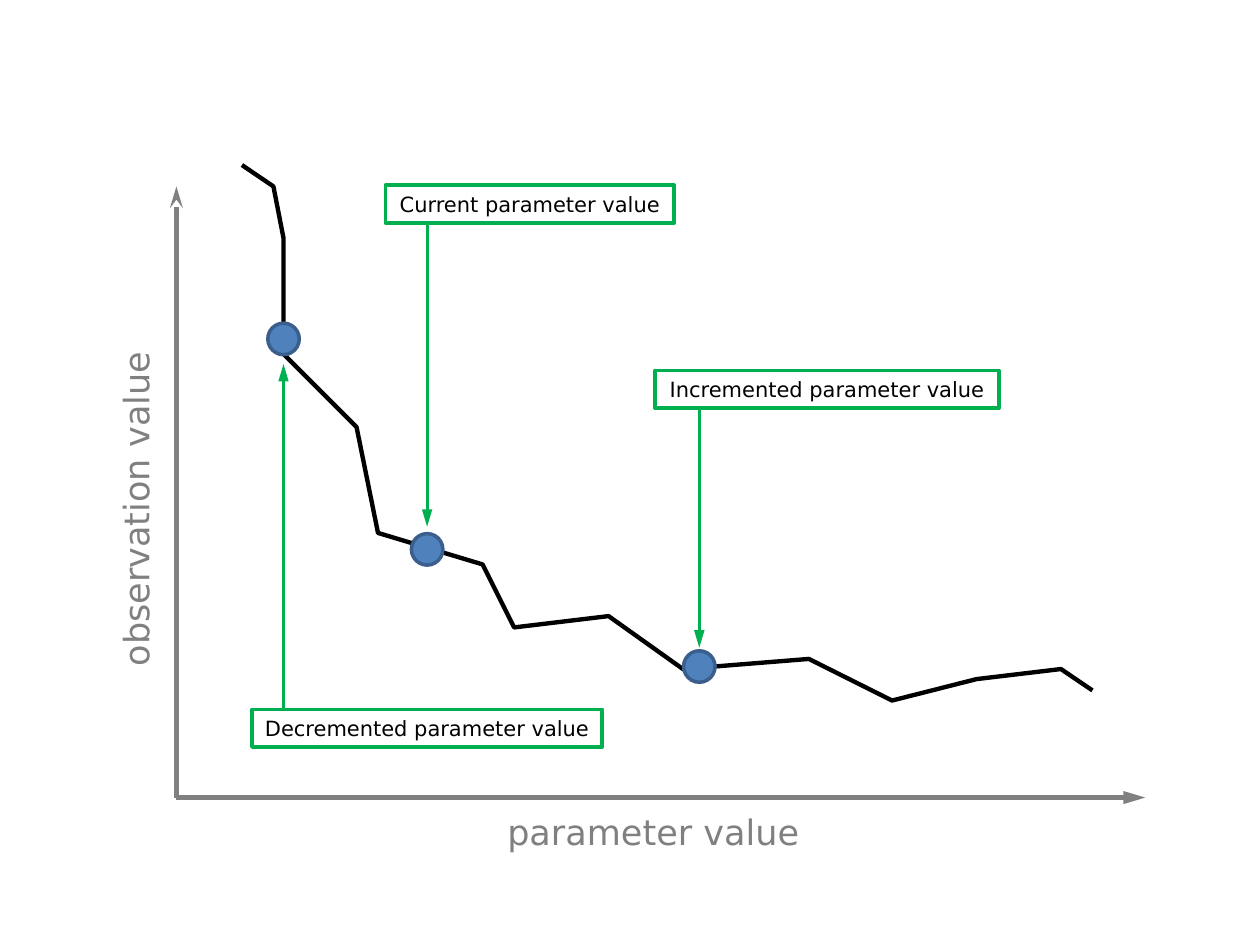
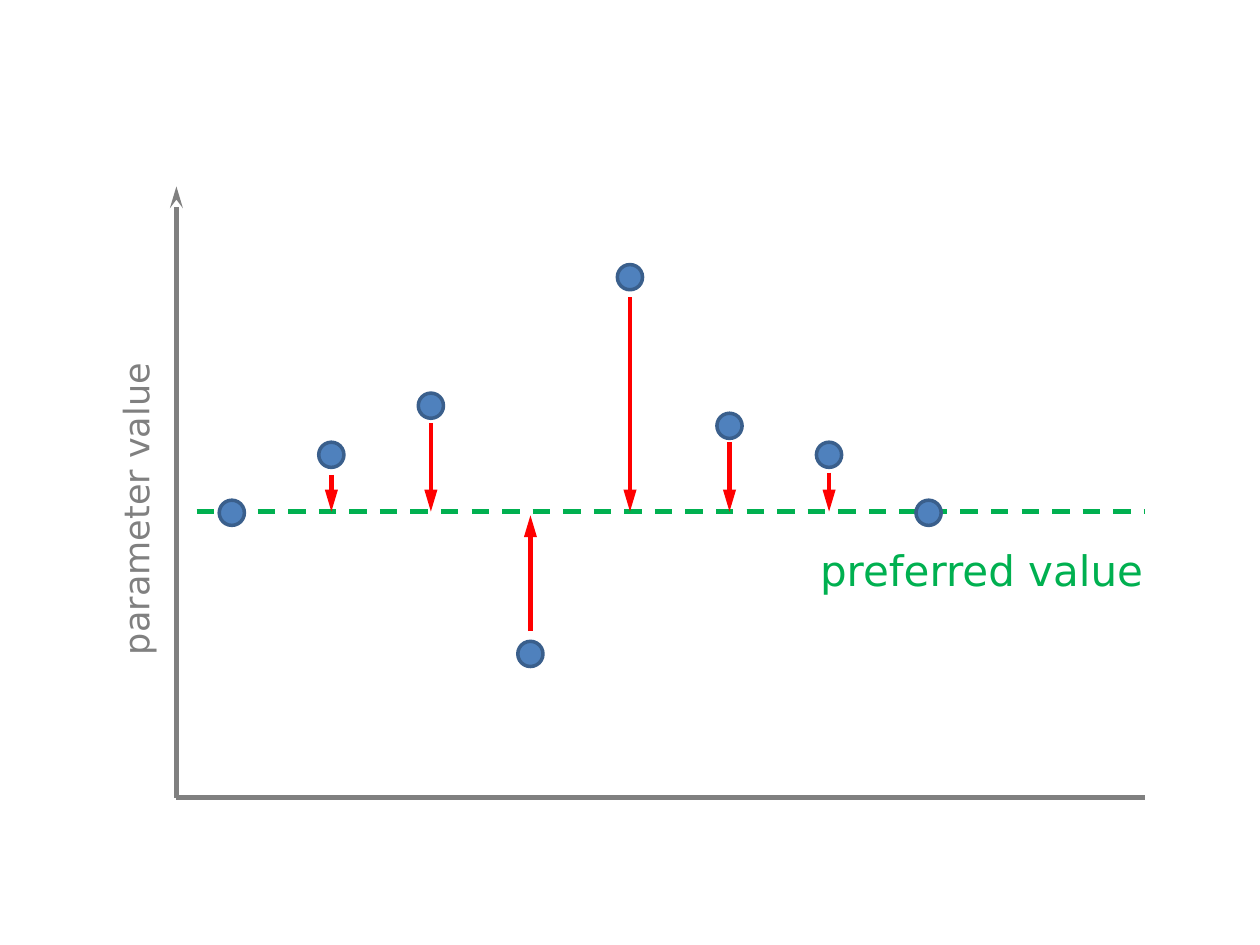
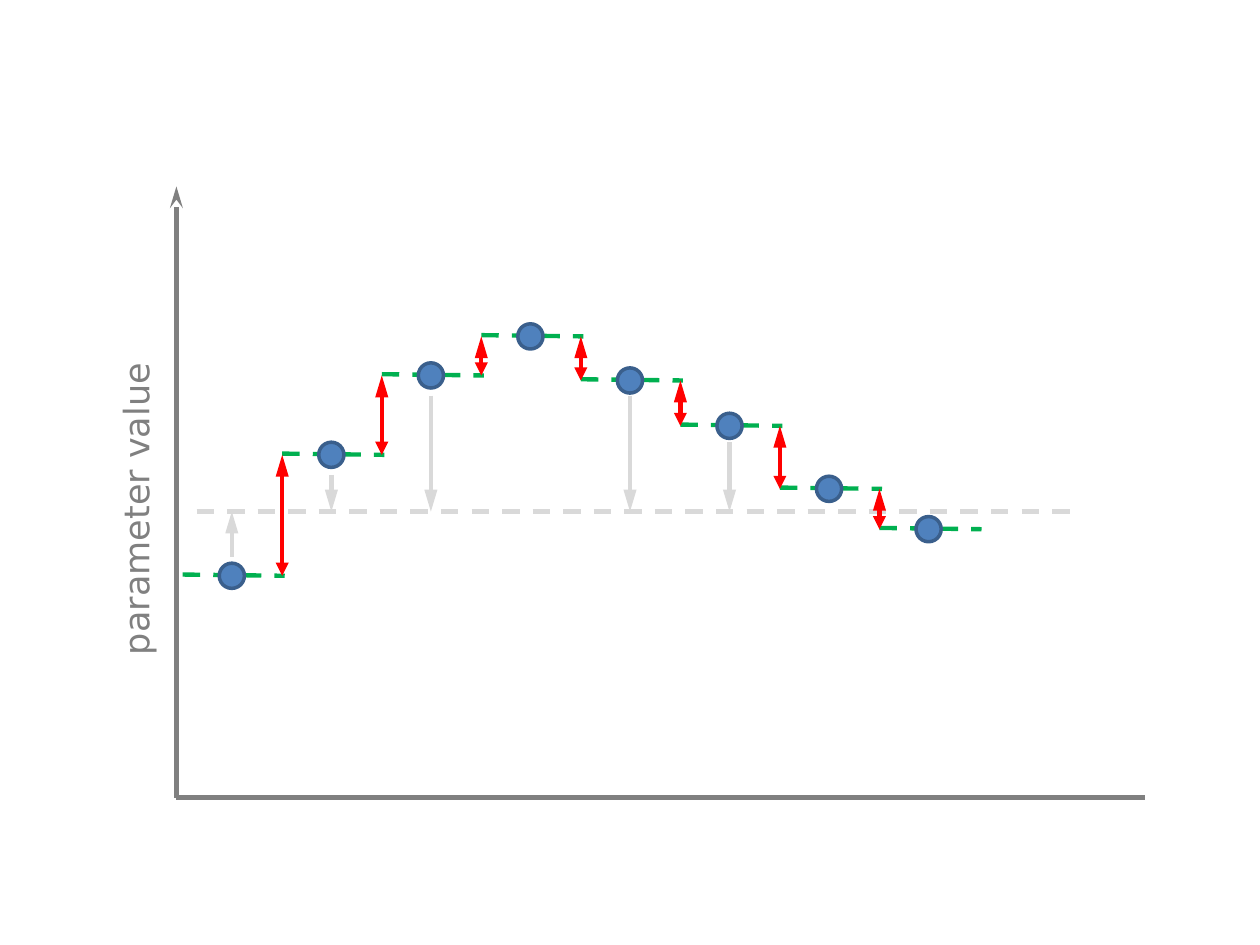
from pptx import Presentation
from pptx.dml.color import RGBColor
from pptx.enum.dml import MSO_LINE
from pptx.enum.shapes import MSO_CONNECTOR, MSO_SHAPE
from pptx.enum.text import MSO_ANCHOR, MSO_AUTO_SIZE, PP_ALIGN
from pptx.oxml.ns import qn
from pptx.util import Inches, Pt
from lxml.etree import SubElement

# Colours and type
BLACK = RGBColor(0x00, 0x00, 0x00)
WHITE = RGBColor(0xFF, 0xFF, 0xFF)
GREY = RGBColor(0x80, 0x80, 0x80)
PALE = RGBColor(0xD9, 0xD9, 0xD9)
GREEN = RGBColor(0x00, 0xB0, 0x50)
RED = RGBColor(0xFF, 0x00, 0x00)
BLUE = RGBColor(0x4F, 0x81, 0xBD)
NAVY = RGBColor(0x3A, 0x5F, 0x8C)
FONT = "DejaVu Sans"

# Grid of 1000 columns by 750 rows, with square cells
deck = Presentation()
deck.slide_width, deck.slide_height = Inches(10), Inches(7.5)
COL = deck.slide_width // 1000
ROW = deck.slide_height // 750
LEFT, RIGHT, TOP, BASE = 140, 909, 148, 633
MID = 406
FIRST, STEP = 184, 79


def line(slide, x1, y1, x2, y2, color, width=2.5, dash=None, head=None, tail=None):
    link = slide.shapes.add_connector(
        MSO_CONNECTOR.STRAIGHT, x1 * COL, y1 * ROW, x2 * COL, y2 * ROW)
    link.line.color.rgb = color
    for key, value in {"width": Pt(width), "dash_style": dash}.items():
        setattr(link.line, key, value)
    pen = link.line._get_or_add_ln()
    for tag, kind, size in (("a:headEnd", head, "med"), ("a:tailEnd", tail, "lg")):
        if kind:
            SubElement(pen, qn(tag), type=kind, w="med", len=size)
    SubElement(link._element.spPr, qn("a:effectLst"))


def shape(slide, kind, x, y, w, h, fill, edge=None, text="", size=12,
          color=BLACK, align=PP_ALIGN.CENTER, turn=0):
    item = slide.shapes.add_shape(kind, x * COL, y * ROW, w * COL, h * ROW)
    item.shadow.inherit = False
    item.rotation = turn
    item.fill.solid()
    item.fill.fore_color.rgb = fill
    if edge:
        item.line.color.rgb = edge
        item.line.width = Pt(2)
    else:
        item.line.fill.background()
    if text:
        frame = item.text_frame
        look = {"word_wrap": size > 12, "auto_size": MSO_AUTO_SIZE.SHAPE_TO_FIT_TEXT,
                "vertical_anchor": MSO_ANCHOR.MIDDLE}
        for key, value in look.items():
            setattr(frame, key, value)
        para = frame.paragraphs[0]
        para.alignment = align
        run = para.add_run()
        run.text = text
        for key, value in {"name": FONT, "size": Pt(size)}.items():
            setattr(run.font, key, value)
        run.font.color.rgb = color


# Shared axes and side label
slides = []
for name, tip in (("observation value", "triangle"),
                  ("parameter value", None), ("parameter value", None)):
    slide = deck.slides.add_slide(deck.slide_layouts[6])
    line(slide, LEFT, BASE, LEFT, TOP, GREY, tail="stealth")
    line(slide, LEFT, BASE, RIGHT, BASE, GREY, tail=tip)
    shape(slide, MSO_SHAPE.RECTANGLE, -108, 382, 431, 44, WHITE,
          text=name, size=20, color=GREY, turn=270)
    slides.append(slide)
curve, fixed, moving = slides

# Slide 1: observed curve
shape(curve, MSO_SHAPE.RECTANGLE, 303, 638, 431, 44, WHITE,
      text="parameter value", size=20, color=GREY)
points = [(192, 131), (217, 148), (225, 189), (225, 281), (283, 339),
          (300, 423), (383, 448), (408, 498), (483, 489), (542, 531),
          (642, 523), (708, 556), (775, 539), (842, 531), (867, 548)]
pen = curve.shapes.build_freeform(*points[0], scale=COL)
pen.add_line_segments(points[1:], close=False)
trace = pen.convert_to_shape()
trace.shadow.inherit = False
trace.fill.background()
trace.line.color.rgb = BLACK
trace.line.width = Pt(2.5)

# Slide 1: marked values, with label box, arrow and dot
marks = [("Current", 306, 147, 229, 339, 177, 418, 436),
         ("Incremented", 520, 294, 273, 555, 324, 514, 529),
         ("Decremented", 200, 563, 278, 225, 564, 289, 269)]
for word, x, y, wide, mid, start, end, dot in marks:
    shape(curve, MSO_SHAPE.RECTANGLE, x, y, wide, 30, WHITE, GREEN,
          f"{word} parameter value")
    line(curve, mid, start, mid, end, GREEN, 1.75, tail="triangle")
    shape(curve, MSO_SHAPE.OVAL, mid - 12.5, dot - 12.5, 25, 25, BLUE, NAVY)

# Slide 2: one preferred value
shape(fixed, MSO_SHAPE.RECTANGLE, 626, 427, 291, 51, WHITE,
      text="preferred value", size=24, color=GREEN, align=PP_ALIGN.RIGHT)
line(fixed, 156, MID, RIGHT, MID, GREEN, dash=MSO_LINE.DASH)
pulls = [(407, None), (361, 377), (322, 336), (519, 501),
         (220, 236), (338, 351), (361, 375), (407, None)]
for i, (y, start) in enumerate(pulls):
    x = FIRST + i * STEP
    shape(fixed, MSO_SHAPE.OVAL, x - 10, y - 10, 20, 20, BLUE, NAVY)
    if start:
        end = MID if start < MID else MID + 3
        line(fixed, x, start, x, end, RED, tail="triangle")

# Slide 3: faded preferred value
line(moving, 156, MID, 854, MID, PALE, dash=MSO_LINE.DASH)
for i, start in {0: 442, 1: 377, 2: 314, 4: 314, 5: 351}.items():
    x = FIRST + i * STEP
    line(moving, x, start, x, MID, PALE, tail="triangle")

# Slide 3: steps, dots and the jumps between neighbours
levels = [457, 361, 298, 267, 302, 338, 388, 420]
for i, y in enumerate(levels):
    x = FIRST + i * STEP
    line(moving, x - 39, y - 1, x + 42, y, GREEN, dash=MSO_LINE.DASH)
    shape(moving, MSO_SHAPE.OVAL, x - 10, y - 10, 20, 20, BLUE, NAVY)
for i, pair in enumerate(zip(levels, levels[1:])):
    x = FIRST + 40 + i * STEP
    line(moving, x, max(pair), x, min(pair), RED, head="triangle", tail="triangle")

deck.save("out.pptx")
